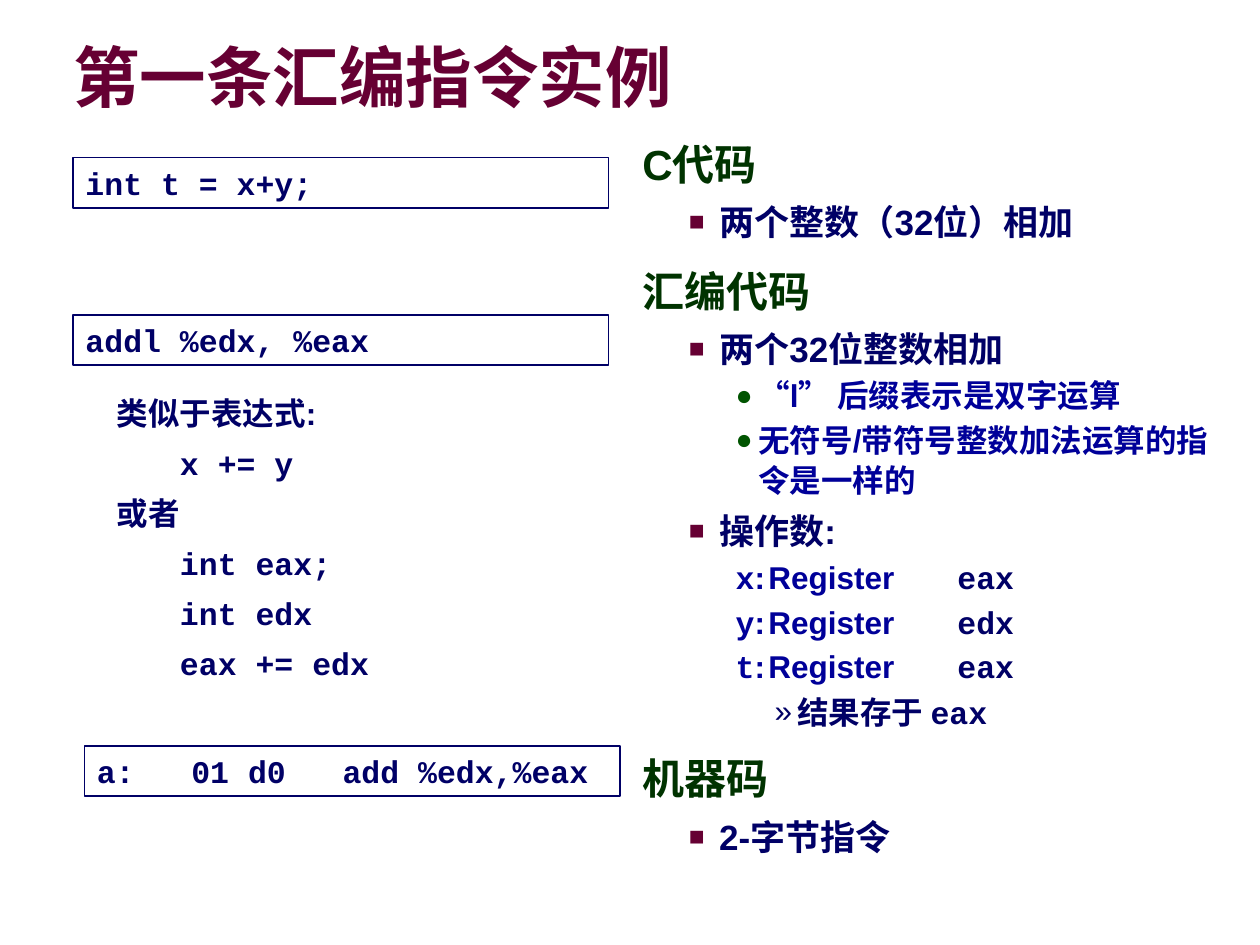
from lxml.etree import SubElement
from pptx import Presentation
from pptx.dml.color import RGBColor
from pptx.enum.shapes import MSO_SHAPE
from pptx.enum.text import MSO_ANCHOR, PP_ALIGN
from pptx.oxml.ns import qn
from pptx.util import Inches, Pt

# Content
TITLE = "第一条汇编指令实例"

CODE_BOXES = [  # left, top, code
    (0.58, 1.25, "int t = x+y;"),
    (0.58, 2.5, "addl %edx, %eax"),
    (0.67, 5.92, "a:   01 d0   add %edx,%eax"),
]

EQUIVALENTS = [  # style, text
    ("lead", "类似于表达式:"),
    ("code", "\tx += y"),
    ("note", "或者"),
    ("code", "\tint eax;"),
    ("code", "\tint edx"),
    ("code", "\teax += edx"),
]

OUTLINE = [  # style, text (or the parts of an operand or result line)
    ("heading", "C代码"),
    ("point", "两个整数（32位）相加"),
    ("heading", "汇编代码"),
    ("point", "两个32位整数相加"),
    ("detail", "“l” 后缀表示是双字运算"),
    ("detail", "无符号/带符号整数加法运算的指令是一样的"),
    ("point", "操作数:"),
    ("operand", ("x", ":\tRegister\t", "eax")),
    ("operand", ("y", ":\tRegister\t", "edx")),
    ("operand", ("t", ":\tRegister\t", "eax")),
    ("result", ("结果存于 ", "eax")),
    ("heading", "机器码"),
    ("point", "2-字节指令"),
]

# Theme
SANS, MONO = "Arial", "Courier New"
WINE, NAVY, BLUE = "660033", "000066", "000099"
GREEN, LEAF, GREY = "003300", "005400", "969696"

THEME = {
    "title": dict(size=38, color=WINE, line=0.87),
    "box": dict(size=18, color=NAVY, font=MONO),
    "lead": dict(size=18, color=NAVY, before=11.2),
    "note": dict(size=18, color=NAVY, before=11.2, line=0.8),
    "code": dict(size=18, color=NAVY, font=MONO, before=11.2, line=0.8, tabs=(1,)),
    "heading": dict(size=24, color=GREEN, before=15, line=0.95, indent=(0.24, -0.24)),
    "point": dict(size=20, color=NAVY, before=6.2, indent=(0.61, -0.24),
                  bullet=("■", WINE, 75)),
    "detail": dict(size=18, color=BLUE, before=2.2, line=1.07, indent=(0.92, -0.18),
                   bullet=("●", LEAF, 90)),
    "operand": dict(size=18, before=2.2, line=1.07, indent=(0, 0.74), tabs=(1.9, 3.8),
                    parts=((MONO, BLUE), (SANS, BLUE), (MONO, NAVY))),
    "result": dict(size=18, color=NAVY, before=4.5, indent=(1.23, -0.18),
                   bullet=("»", NAVY, 100), parts=((SANS, NAVY), (MONO, NAVY))),
}


def set_bullet(props, char, color, percent):
    tint = SubElement(props, qn("a:buClr"))
    SubElement(tint, qn("a:srgbClr"), val=color)
    SubElement(props, qn("a:buSzPct"), val=str(percent * 1000))
    SubElement(props, qn("a:buFont"), typeface=SANS)
    SubElement(props, qn("a:buChar"), char=char)


def set_font(font, name, color):
    font.name = name
    font.color.rgb = RGBColor.from_string(color)


def write(paragraph, style, text):
    look = THEME[style]
    paragraph.alignment = PP_ALIGN.LEFT
    paragraph.line_spacing = look.get("line", 1.0)
    paragraph.space_before = Pt(look.get("before", 0))
    props = paragraph._p.get_or_add_pPr()
    margin, indent = look.get("indent", (0, 0))
    props.set("marL", str(Inches(margin)))
    props.set("indent", str(Inches(indent)))
    if "bullet" in look:
        set_bullet(props, *look["bullet"])
    if "tabs" in look:
        stops = SubElement(props, qn("a:tabLst"))
        for stop in look["tabs"]:
            SubElement(stops, qn("a:tab"), pos=str(Inches(stop)), algn="l")
    paragraph.font.size = Pt(look["size"])
    paragraph.font.bold = True
    if "parts" in look:
        for part, (name, color) in zip(text, look["parts"]):
            run = paragraph.add_run()
            run.text = part
            set_font(run.font, name, color)
    else:
        paragraph.add_run().text = text
        set_font(paragraph.font, look.get("font", SANS), look["color"])


def fill_frame(frame, lines):
    frame.word_wrap = True
    frame.vertical_anchor = MSO_ANCHOR.TOP
    for number, (style, text) in enumerate(lines):
        paragraph = frame.add_paragraph() if number else frame.paragraphs[0]
        write(paragraph, style, text)


def add_text(slide, place, lines):
    frame = slide.shapes.add_textbox(*map(Inches, place)).text_frame
    fill_frame(frame, lines)
    return frame


def add_title(slide):
    frame = add_text(slide, (0.58, 0.33, 7.94, 0.63), [("title", TITLE)])
    frame.vertical_anchor = MSO_ANCHOR.MIDDLE
    frame.margin_left = frame.margin_right = 0
    frame.margin_top = frame.margin_bottom = 0
    # Grey drop shadow behind the letters
    props = frame.paragraphs[0].runs[0]._r.get_or_add_rPr()
    effects = SubElement(props, qn("a:effectLst"))
    shadow = SubElement(effects, qn("a:outerShdw"), dist=str(Pt(3)), dir="2700000")
    SubElement(shadow, qn("a:srgbClr"), val=GREY)


def add_code_box(slide, left, top, code):
    box = slide.shapes.add_shape(
        MSO_SHAPE.RECTANGLE, Inches(left), Inches(top), Inches(4.25), Inches(0.4))
    box.shadow.inherit = False
    box.fill.background()
    box.line.color.rgb = RGBColor.from_string(NAVY)
    box.line.width = Pt(1)
    fill_frame(box.text_frame, [("box", code)])


def main():
    deck = Presentation()
    deck.slide_width, deck.slide_height = Inches(10), Inches(7.5)
    slide = deck.slides.add_slide(deck.slide_layouts[6])

    add_title(slide)
    # Right column: outline
    add_text(slide, (5, 1.08, 4.75, 6), OUTLINE)
    # Left column: code boxes and the equivalent expressions
    for left, top, code in CODE_BOXES:
        add_code_box(slide, left, top, code)
    add_text(slide, (0.83, 3.08, 3.75, 2.39), EQUIVALENTS)

    deck.save("out.pptx")


if __name__ == "__main__":
    main()
